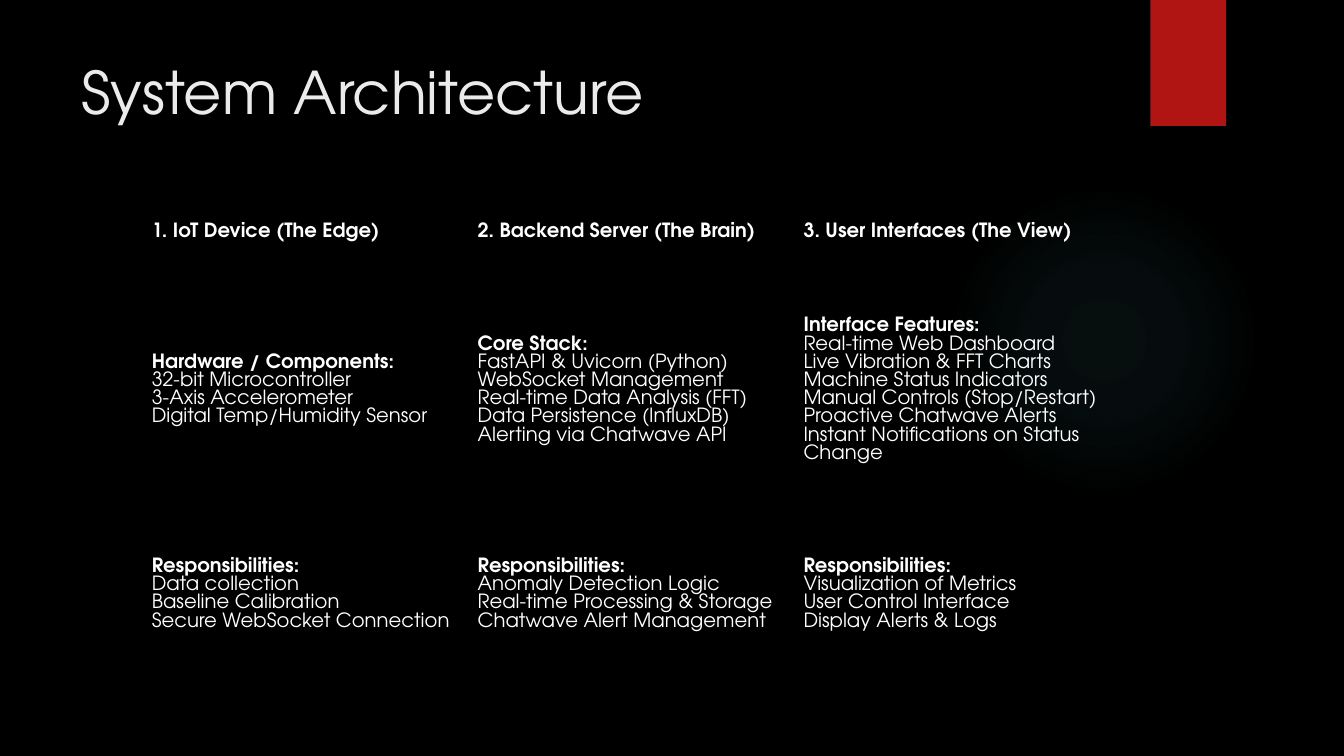
from dataclasses import dataclass
from lxml.etree import SubElement
from pptx import Presentation
from pptx.dml.color import RGBColor
from pptx.enum.shapes import MSO_SHAPE
from pptx.enum.text import MSO_ANCHOR
from pptx.oxml.ns import qn
from pptx.util import Pt


@dataclass(frozen=True)
class Theme:
    font: str = "TeX Gyre Adventor"
    background: str = "000000"
    title: str = "EBEBEB"
    body: str = "FFFFFF"
    accent: str = "B01513"
    glow: str = "50B9C1"
    title_size: float = 42
    body_size: float = 14


@dataclass(frozen=True)
class Block:
    heading: str
    items: tuple[str, ...] = ()


@dataclass(frozen=True)
class Tier:
    name: str
    stack: Block
    duties: tuple[str, ...]

    def blocks(self) -> list[Block]:
        return [Block(self.name), self.stack, Block("Responsibilities:", self.duties)]


THEME = Theme()
GLOW_STOPS = ((0, 7), (36, 6), (69, 0))
PLAIN_TABLE_STYLE = "{2D5ABB26-0587-4C30-8999-92F81FD0307C}"
COLUMN_WIDTH = 232.8
ROW_HEIGHTS = (38.9, 187.2, 104.4)
TIERS = (
    Tier("1. IoT Device (The Edge)",
         Block("Hardware / Components:",
               ("32-bit Microcontroller", "3-Axis Accelerometer",
                "Digital Temp/Humidity Sensor")),
         ("Data collection", "Baseline Calibration", "Secure WebSocket Connection")),
    Tier("2. Backend Server (The Brain)",
         Block("Core Stack:",
               ("FastAPI & Uvicorn (Python)", "WebSocket Management",
                "Real-time Data Analysis (FFT)", "Data Persistence (InfluxDB)",
                "Alerting via Chatwave API")),
         ("Anomaly Detection Logic", "Real-time Processing & Storage",
          "Chatwave Alert Management")),
    Tier("3. User Interfaces (The View)",
         Block("Interface Features:",
               ("Real-time Web Dashboard", "Live Vibration & FFT Charts",
                "Machine Status Indicators", "Manual Controls (Stop/Restart)",
                "Proactive Chatwave Alerts", "Instant Notifications on Status Change")),
         ("Visualization of Metrics", "User Control Interface", "Display Alerts & Logs")),
)


def write(p, text: str, *, size: float, color: str, bold: bool = False,
          spacing: float | None = None) -> None:
    r = p.add_run()
    r.text = text
    r.font.name = THEME.font
    r.font.size = Pt(size)
    r.font.bold = bold
    r.font.color.rgb = RGBColor.from_string(color)
    if spacing:
        p.line_spacing = Pt(spacing)


def add_plain_shape(s, kind: MSO_SHAPE, left: float, top: float,
                    width: float, height: float):
    sp = s.shapes.add_shape(kind, Pt(left), Pt(top), Pt(width), Pt(height))
    sp.shadow.inherit = False
    sp.line.fill.background()
    return sp


def add_glow(s) -> None:
    sp = add_plain_shape(s, MSO_SHAPE.OVAL, 677.5, 131.8, 221.8, 221.8)
    sp.fill.gradient()
    grad = sp.fill._xPr.find(qn("a:gradFill"))
    for child in list(grad):
        grad.remove(child)
    stops = SubElement(grad, qn("a:gsLst"))
    for position, alpha in GLOW_STOPS:
        stop = SubElement(stops, qn("a:gs"), pos=str(position * 1000))
        color = SubElement(stop, qn("a:srgbClr"), val=THEME.glow)
        SubElement(color, qn("a:alpha"), val=str(alpha * 1000))
    circle = SubElement(grad, qn("a:path"), path="circle")
    SubElement(circle, qn("a:fillToRect"), l="50000", t="50000", r="50000", b="50000")


def add_ribbon(s) -> None:
    sp = add_plain_shape(s, MSO_SHAPE.RECTANGLE, 821.8, 0, 54, 90)
    sp.fill.solid()
    sp.fill.fore_color.rgb = RGBColor.from_string(THEME.accent)


def add_title(s, text: str) -> None:
    tf = s.shapes.add_textbox(Pt(51), Pt(36), Pt(741), Pt(110)).text_frame
    tf.word_wrap = True
    tf.vertical_anchor = MSO_ANCHOR.TOP
    write(tf.paragraphs[0], text, size=THEME.title_size, color=THEME.title)


def fill_cell(cell, block: Block) -> None:
    cell.fill.background()
    cell.vertical_anchor = MSO_ANCHOR.MIDDLE
    cell.margin_left = cell.margin_right = Pt(5.4)
    cell.margin_top = cell.margin_bottom = Pt(2.7)
    tf = cell.text_frame
    for i, text in enumerate((block.heading, *block.items)):
        p = tf.add_paragraph() if i else tf.paragraphs[0]
        write(p, text, size=THEME.body_size, color=THEME.body, bold=i == 0, spacing=13)


def add_tiers(s, tiers: tuple[Tier, ...]) -> None:
    frame = s.shapes.add_table(len(ROW_HEIGHTS), len(tiers), Pt(103), Pt(146.2),
                               Pt(COLUMN_WIDTH * len(tiers)), Pt(sum(ROW_HEIGHTS)))
    table = frame.table
    table.first_row = table.horz_banding = False
    table._tbl.tblPr.find(qn("a:tableStyleId")).text = PLAIN_TABLE_STYLE
    for row, height in zip(table.rows, ROW_HEIGHTS):
        row.height = Pt(height)
    for c, tier in enumerate(tiers):
        table.columns[c].width = Pt(COLUMN_WIDTH)
        for r, block in enumerate(tier.blocks()):
            fill_cell(table.cell(r, c), block)


def main() -> None:
    prs = Presentation()
    prs.slide_width, prs.slide_height = Pt(960), Pt(540)
    s = prs.slides.add_slide(prs.slide_layouts[6])
    s.background.fill.solid()
    s.background.fill.fore_color.rgb = RGBColor.from_string(THEME.background)
    add_glow(s)
    add_ribbon(s)
    add_title(s, "System Architecture")
    add_tiers(s, TIERS)
    prs.save("out.pptx")


if __name__ == "__main__":
    main()
